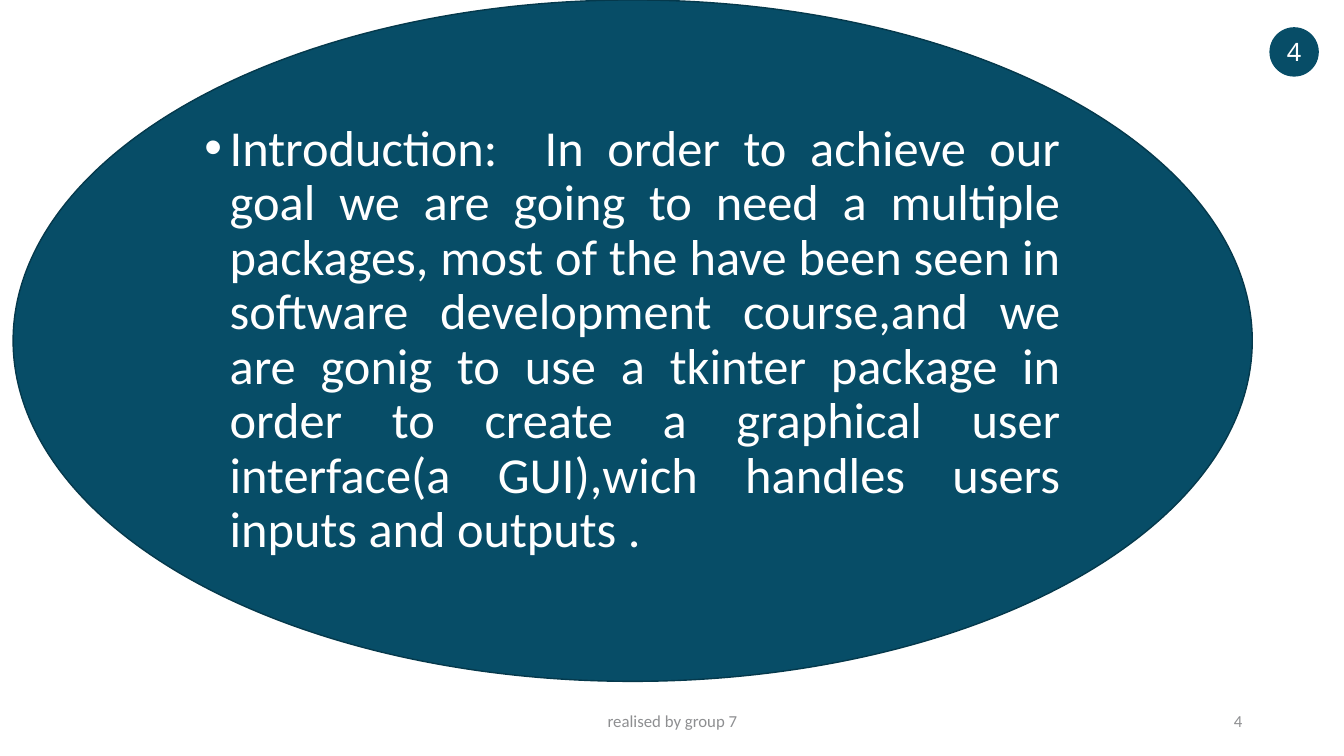
import pptx
import pptx.dml.color
import pptx.enum.shapes
import pptx.enum.text
import pptx.oxml
import pptx.oxml.ns
import pptx.util
from pptx.util import Inches

ALIGN = pptx.enum.text.PP_ALIGN
TEAL = "074D67"
DARK_TEAL = "05394C"
WHITE = "FFFFFF"
GRAY = "8E8F91"
INTRODUCTION = (
    "Introduction:  In order to achieve our goal we are going to need a multiple "
    "packages, most of the have been seen in software development course,and we "
    "are gonig to use a tkinter package in order to create a graphical user "
    "interface(a GUI),wich handles users inputs and outputs ."
)


def color(value):
    """Turn a hex string into a colour."""
    return pptx.dml.color.RGBColor.from_string(value)


def add_bullet(paragraph, indent):
    """Give a paragraph a bullet with a hanging indent."""
    properties = paragraph._p.get_or_add_pPr()
    properties.set("marL", str(indent))
    properties.set("indent", str(-indent))
    namespace = pptx.oxml.ns.nsdecls("a")
    properties.append(pptx.oxml.parse_xml(f'<a:buFont {namespace} typeface="Arial"/>'))
    properties.append(pptx.oxml.parse_xml(f'<a:buChar {namespace} char="•"/>'))


def write_text(shape, text, size, fill, font="Calibri", align=ALIGN.CENTER,
               spacing=None, bullet_indent=None):
    """Write one vertically centred paragraph into a shape."""
    frame = shape.text_frame
    frame.word_wrap = True
    frame.vertical_anchor = pptx.enum.text.MSO_ANCHOR.MIDDLE
    paragraph = frame.paragraphs[0]
    paragraph.alignment = align
    if spacing:
        paragraph.line_spacing = spacing
    if bullet_indent:
        add_bullet(paragraph, bullet_indent)
    run = paragraph.add_run()
    run.text = text
    run.font.name = font
    run.font.size = pptx.util.Pt(size)
    run.font.color.rgb = color(fill)


def add_ellipse(slide, left, top, width, height, line=None):
    """Add a teal ellipse with an optional outline."""
    shape = slide.shapes.add_shape(
        pptx.enum.shapes.MSO_SHAPE.OVAL,
        Inches(left), Inches(top), Inches(width), Inches(height))
    shape.shadow.inherit = False
    shape.fill.solid()
    shape.fill.fore_color.rgb = color(TEAL)
    if line:
        shape.line.color.rgb = color(line)
        shape.line.width = pptx.util.Pt(1)
    else:
        shape.line.fill.background()
    return shape


def add_footer(slide, left, width, text, align):
    """Add a gray text to the footer row."""
    box = slide.shapes.add_textbox(
        Inches(left), Inches(6.95), Inches(width), Inches(0.4))
    write_text(box, text, size=12, fill=GRAY, align=align)


def add_number_badge(slide, text):
    """Add the round page number at the top right."""
    badge = add_ellipse(slide, 12.59, 0.27, 0.49, 0.49)
    frame = badge.text_frame
    frame.margin_left = frame.margin_right = 0
    frame.margin_top = frame.margin_bottom = 0
    write_text(badge, text, size=18, fill=WHITE, font="Noto Sans")


def main():
    """Build and save the introduction slide."""
    presentation = pptx.Presentation()
    presentation.slide_width = Inches(13.33)
    presentation.slide_height = Inches(7.5)
    slide = presentation.slides.add_slide(presentation.slide_layouts[6])
    add_footer(slide, 4.42, 4.5, "realised by group 7", ALIGN.CENTER)
    add_footer(slide, 9.42, 3, "4", ALIGN.RIGHT)
    add_number_badge(slide, "4")
    introduction = add_ellipse(slide, 0.13, 0, 12.29, 6.76, line=DARK_TEAL)
    write_text(introduction, INTRODUCTION, size=36, fill=WHITE, align=ALIGN.JUSTIFY,
               spacing=0.9, bullet_indent=Inches(0.25))
    presentation.save("out.pptx")


if __name__ == "__main__":
    main()
